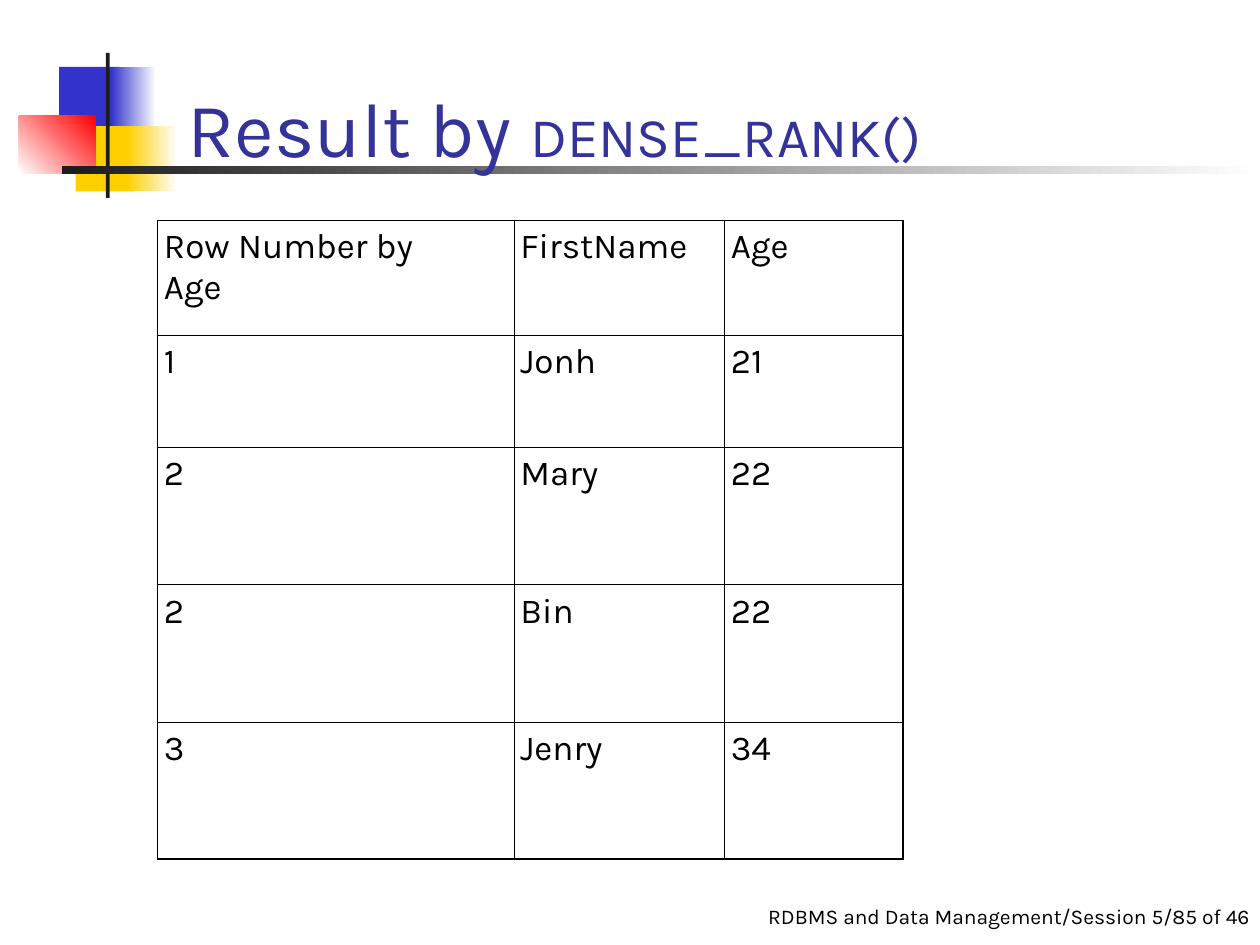
import pptx
import pptx.dml.color
import pptx.enum.shapes
import pptx.enum.text
import pptx.oxml
import pptx.oxml.ns
import pptx.util

RGB = pptx.dml.color.RGBColor
ALIGN = pptx.enum.text.PP_ALIGN
ANCHOR = pptx.enum.text.MSO_ANCHOR

BLACK = RGB(0x00, 0x00, 0x00)
WHITE = RGB(0xFF, 0xFF, 0xFF)
CHARCOAL = RGB(0x1C, 0x1C, 0x1C)
BLUE = RGB(0x33, 0x33, 0xCC)
YELLOW = RGB(0xFF, 0xCF, 0x01)
RED = RGB(0xFF, 0x00, 0x00)
INDIGO = RGB(0x33, 0x33, 0x99)

COLUMNS, ROWS = 100, 75
RESULT = [
    ["Row Number by Age", "FirstName", "Age"],
    ["1", "Jonh", "21"],
    ["2", "Mary", "22"],
    ["2", "Bin", "22"],
    ["3", "Jenry", "34"],
]


def write(p, text, size=20, color=BLACK, font="Karla", align=ALIGN.LEFT, before=0):
    p.alignment = align
    p.space_before = pptx.util.Pt(before)
    r = p.add_run()
    r.text = text
    r.font.size = pptx.util.Pt(size)
    r.font.name = font
    r.font.color.rgb = color


class Deck:
    outer_line, inner_line = 1.08, 0.45
    cell_margin = 0.5

    def __init__(self, width, height):
        self.prs = pptx.Presentation()
        self.prs.slide_width = pptx.util.Inches(width)
        self.prs.slide_height = pptx.util.Inches(height)
        self.s = self.prs.slides.add_slide(self.prs.slide_layouts[6])

    def x(self, columns):
        return round(self.prs.slide_width * columns / COLUMNS)

    def y(self, rows):
        return round(self.prs.slide_height * rows / ROWS)

    def box(self, left, top, width, height):
        return self.x(left), self.y(top), self.x(width), self.y(height)

    def block(self, *place, color, fade_to=None, angle=0):
        sp = self.s.shapes.add_shape(
            pptx.enum.shapes.MSO_SHAPE.RECTANGLE, *self.box(*place))
        sp.shadow.inherit = False
        sp.line.fill.background()
        if fade_to is None:
            sp.fill.solid()
            sp.fill.fore_color.rgb = color
            return
        sp.fill.gradient()
        sp.fill.gradient_angle = angle
        for stop, shade in zip(sp.fill.gradient_stops, (color, fade_to)):
            stop.color.rgb = shade

    def text(self, *place, runs, anchor=ANCHOR.TOP, margin_right=1, **style):
        sp = self.s.shapes.add_textbox(*self.box(*place))
        tf = sp.text_frame
        tf.word_wrap = True
        tf.vertical_anchor = anchor
        tf.margin_right = self.x(margin_right)
        for text, size in runs:
            write(tf.paragraphs[0], text, size=size, **style)

    def border(self, cell, side, width):
        ns = pptx.oxml.ns.nsdecls("a")
        cell._tc.get_or_add_tcPr().append(pptx.oxml.parse_xml(
            f'<a:ln{side} {ns} w="{pptx.util.Pt(width)}"><a:solidFill>'
            f'<a:srgbClr val="{BLACK}"/></a:solidFill></a:ln{side}>'))

    def table(self, left, top, widths, heights, data, header_inset):
        place = self.box(left, top, sum(widths), sum(heights))
        table = self.s.shapes.add_table(len(heights), len(widths), *place).table
        table.first_row = table.horz_banding = False
        for column, width in zip(table.columns, widths):
            column.width = self.x(width)
        for row, height in zip(table.rows, heights):
            row.height = self.y(height)
        for i, values in enumerate(data):
            for j, value in enumerate(values):
                cell = table.cell(i, j)
                cell.margin_left = cell.margin_right = self.x(self.cell_margin)
                cell.margin_top = cell.margin_bottom = self.y(self.cell_margin)
                edges = {"L": j == 0, "R": j == len(widths) - 1,
                         "T": i == 0, "B": i == len(heights) - 1}
                for side, outer in edges.items():
                    self.border(cell, side, self.outer_line if outer else self.inner_line)
                cell.fill.background()
                write(cell.text_frame.paragraphs[0], value, before=5)
        table.cell(0, 0).margin_right = self.x(header_inset)


def main():
    deck = Deck(10, 7.5)
    deck.text(55, 71.2, 49.2, 3.3, margin_right=0, align=ALIGN.CENTER,
              runs=[("RDBMS and Data Management/Session 5/85 of 46", 12)])
    deck.block(4.7, 5.3, 4.8, 5.2, color=BLUE)
    deck.block(8.8, 5.3, 3.6, 5.2, color=BLUE, fade_to=WHITE)
    deck.block(6, 10, 4.6, 5.2, color=YELLOW)
    deck.block(10.1, 10, 4, 5.2, color=YELLOW, fade_to=WHITE)
    deck.block(1.5, 9.2, 6.1, 4.6, color=WHITE, fade_to=RED, angle=45)
    deck.block(8.4, 4.2, 0.3, 11.5, color=CHARCOAL)
    deck.block(4.9, 13.2, 95.1, 0.6, color=CHARCOAL, fade_to=WHITE)
    deck.text(13.9, 1.7, 85.2, 12.5, anchor=ANCHOR.BOTTOM, color=INDIGO,
              runs=[("Result by ", 44), ("DENSE_RANK()", 32)])
    deck.table(12.5, 17.5, [28.3, 16.7, 14.2], [9.1, 8.9] + [10.9] * 3,
               RESULT, header_inset=5)
    deck.prs.save("out.pptx")


if __name__ == "__main__":
    main()
